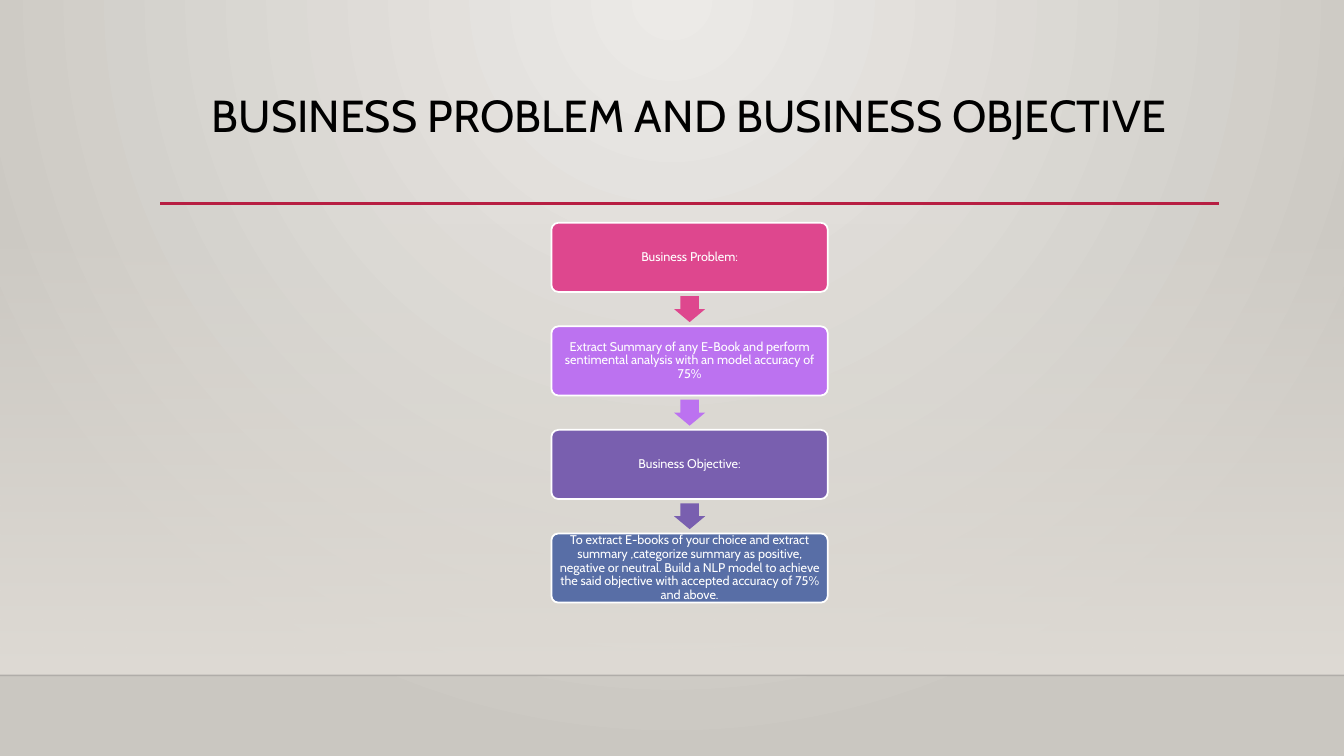
import pptx
import pptx.util
import pptx.dml.color
import pptx.enum.shapes
import pptx.enum.text
import pptx.oxml
import pptx.oxml.ns

Pt = pptx.util.Pt
SHAPE = pptx.enum.shapes.MSO_SHAPE
ANCHOR = pptx.enum.text.MSO_ANCHOR
NAMESPACE = pptx.oxml.ns.nsdecls("a")

COLOURS = {
    "glow": "ECEAE7",
    "edge": "CAC7C1",
    "wall": "DFDBD5",
    "shade": "000001",
    "rule": "B71E42",
    "title": "000000",
    "white": "FFFFFF",
    "pink": "DE478E",
    "violet": "BC72F0",
    "purple": "795FAF",
    "blue": "586EA6",
}

STEPS = [
    ("pink", "Business Problem:"),
    ("violet", "Extract Summary of any E-Book and perform sentimental analysis "
               "with an model accuracy of 75%"),
    ("purple", "Business Objective:"),
    ("blue", "To extract E-books of your choice and extract summary ,categorize "
             "summary as positive, negative or neutral. Build a NLP model to achieve "
             "the said objective with accepted accuracy of 75% and above."),
]


class SlideBuilder:
    font = "Cabin"

    def __init__(self, page):
        self.page = page

    def colour(self, name):
        return pptx.dml.color.RGBColor.from_string(COLOURS[name])

    def add_alpha(self, colour_element, percent):
        colour_element.append(pptx.oxml.parse_xml(
            f'<a:alpha {NAMESPACE} val="{percent * 1000}"/>'))

    def gradient(self, fill, names):
        fill.gradient()
        for stop, name in zip(fill.gradient_stops, names):
            stop.color.rgb = self.colour(name)

    def background(self, inner, outer):
        self.gradient(self.page.background.fill, (inner, outer))
        linear = self.page.element.find(".//" + pptx.oxml.ns.qn("a:lin"))
        linear.getparent().replace(linear, pptx.oxml.parse_xml(
            f'<a:path {NAMESPACE} path="circle">'
            '<a:fillToRect l="43000" t="0" r="43000" b="100000"/></a:path>'))

    def fading_band(self, left, top, width, height, name):
        band = self.shape(SHAPE.RECTANGLE, left, top, width, height, name)
        self.gradient(band.fill, (name, name))
        band.fill.gradient_angle = 270
        first = band.element.find(".//" + pptx.oxml.ns.qn("a:gs"))
        self.add_alpha(first[0], 0)

    def line(self, left, right, top, name, width, opacity=100):
        line = self.page.shapes.add_connector(
            pptx.enum.shapes.MSO_CONNECTOR.STRAIGHT,
            Pt(left), Pt(top), Pt(right), Pt(top))
        line.line.width = Pt(width)
        line.line.color.rgb = self.colour(name)
        properties = line.element.spPr
        if opacity < 100:
            self.add_alpha(properties.find(".//" + pptx.oxml.ns.qn("a:srgbClr")), opacity)
        properties.append(pptx.oxml.parse_xml(f"<a:effectLst {NAMESPACE}/>"))

    def shape(self, kind, left, top, width, height, fill):
        shape = self.page.shapes.add_shape(kind, Pt(left), Pt(top), Pt(width), Pt(height))
        shape.shadow.inherit = False
        shape.fill.solid()
        shape.fill.fore_color.rgb = self.colour(fill)
        shape.line.fill.background()
        return shape

    def set_text(self, frame, text, size, name, anchor):
        frame.word_wrap = True
        frame.auto_size = pptx.enum.text.MSO_AUTO_SIZE.NONE
        frame.vertical_anchor = anchor
        frame.text = text
        para = frame.paragraphs[0]
        para.alignment = pptx.enum.text.PP_ALIGN.CENTER
        para.line_spacing = 0.9
        para.space_before = Pt(0)
        para.font.name = self.font
        para.font.size = Pt(size)
        para.font.color.rgb = self.colour(name)

    def title(self, text, left, top, width, height):
        title = self.page.shapes.title
        title.left, title.top = Pt(left), Pt(top)
        title.width, title.height = Pt(width), Pt(height)
        self.set_text(title.text_frame, text, 32, "title", ANCHOR.TOP)

    def step(self, left, top, width, height, fill, text):
        box = self.shape(SHAPE.ROUNDED_RECTANGLE, left, top, width, height, fill)
        box.adjustments[0] = 0.1
        box.line.width = Pt(1.25)
        box.line.color.rgb = self.colour("white")
        frame = box.text_frame
        frame.margin_left = frame.margin_right = Pt(2.88)
        frame.margin_top = frame.margin_bottom = Pt(2.88)
        self.set_text(frame, text, 9, "white", ANCHOR.MIDDLE)

    def down_arrow(self, centre_x, centre_y, length, breadth, fill):
        arrow = self.shape(SHAPE.RIGHT_ARROW, centre_x - length / 2,
                           centre_y - breadth / 2, length, breadth, fill)
        arrow.rotation = 90
        arrow.adjustments[0] = 0.6
        arrow.adjustments[1] = 0.5


def main():
    deck = pptx.Presentation()
    deck.slide_width, deck.slide_height = Pt(960), Pt(540)
    builder = SlideBuilder(deck.slides.add_slide(deck.slide_layouts[5]))

    builder.background("glow", "edge")
    builder.fading_band(0, 159, 960, 323.4, "wall")
    builder.line(0, 960, 482.4, "shade", 1, opacity=20)
    builder.line(114.4, 870.9, 145.3, "rule", 2.5)
    builder.title("BUSINESS PROBLEM AND BUSINESS OBJECTIVE", 114.4, 63.4, 756, 82.6)

    left, top, width, height, pitch = 393.9, 159.1, 197.4, 49.4, 73.98
    for index, (fill, text) in enumerate(STEPS):
        step_top = top + index * pitch
        builder.step(left, step_top, width, height, fill, text)
        if index < len(STEPS) - 1:
            gap_centre = step_top + (height + pitch) / 2
            builder.down_arrow(left + width / 2, gap_centre, 18.5, 22.2, fill)

    deck.save("out.pptx")


if __name__ == "__main__":
    main()
